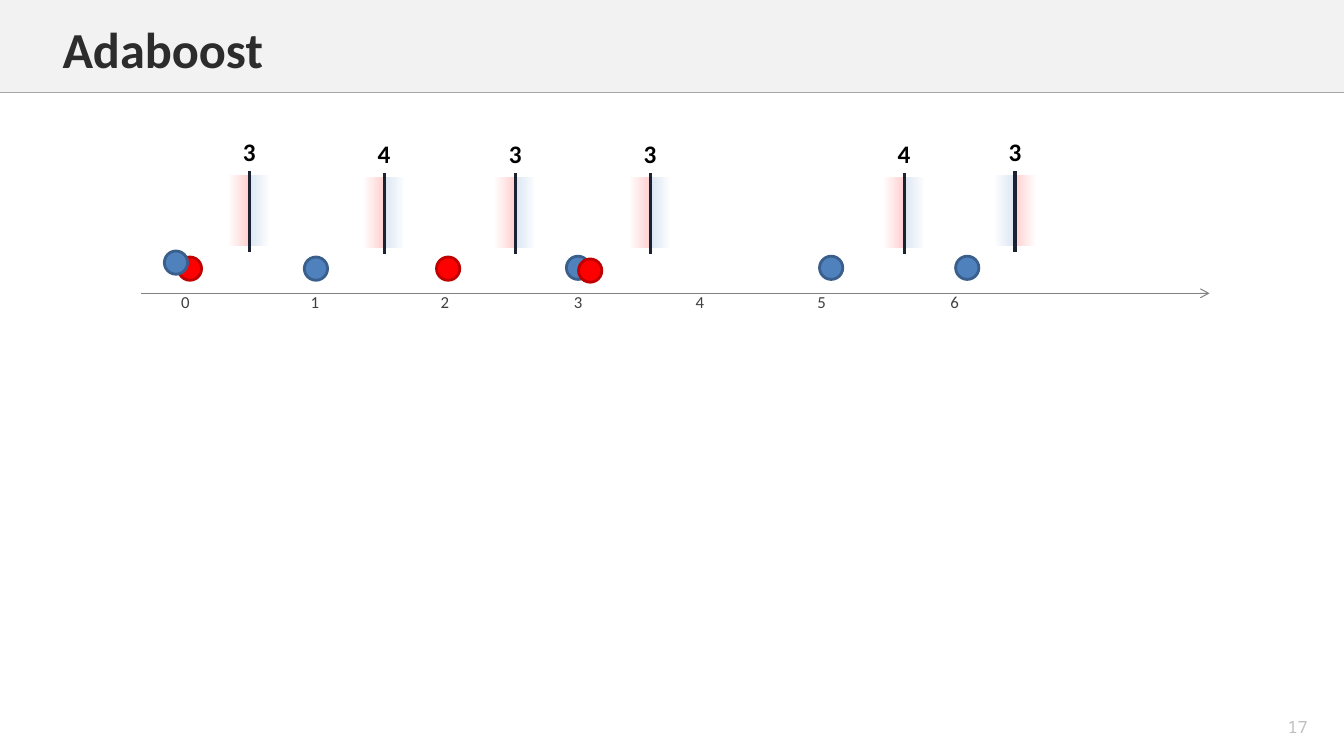
import pptx
import pptx.util
import pptx.dml.color
import pptx.enum.shapes
import pptx.enum.text
import pptx.oxml
import pptx.oxml.ns

Pt = pptx.util.Pt
SHAPES = pptx.enum.shapes.MSO_SHAPE
ALIGN = pptx.enum.text.PP_ALIGN
ANCHOR = pptx.enum.text.MSO_ANCHOR

TITLE = "Adaboost"
PAGE_NUMBER = "17"
TICKS = ["0", "1", "2", "3", "4", "5", "6"]
TICK_CENTRES = [132.6, 225, 318, 413, 500, 587, 682]

# left, top, class
POINTS = [
    (311.8, 183.6, "red"),
    (217.4, 183.6, "blue"),
    (404.6, 183, "blue"),
    (585.4, 183, "blue"),
    (682.6, 183, "blue"),
    (413.3, 185, "red"),
    (127.4, 183.6, "red"),
    (117.4, 179.3, "blue"),
]

# x, rise, label, tint on the left, tint on the right
STUMPS = [
    (274.4, 0, "4", "pink", "pale"),
    (368, 0, "3", "pink", "pale"),
    (464.4, 0, "3", "pink", "pale"),
    (645.8, 0, "4", "pink", "pale"),
    (725, 1.4, "3", "pale", "pink"),
    (178, 1.4, "3", "pink", "pale"),
]

COLOURS = {
    "white": "FFFFFF", "band": "F2F2F2", "rule": "A6A6A6", "number": "BFBFBF",
    "axis": "808080", "tick": "404040", "title": "2C2C2C", "black": "000000",
    "stump": "1C2232", "pink": "FFD1D1", "pale": "DCE6F2",
    "red": "FF0000", "red edge": "C00000",
    "blue": "4F81BD", "blue edge": "3A5F8C",
}
FORMATS = {
    "title": {"name": "Calibri", "size": Pt(36), "bold": True},
    "number": {"name": "Noto Sans Mono", "size": Pt(12)},
    "tick": {"name": "Calibri", "size": Pt(12)},
    "black": {"name": "Calibri", "size": Pt(18), "bold": True},
}

PAGE_WIDTH, PAGE_HEIGHT = 960, 540
BAND_HEIGHT = 66.2
AXIS_LEFT, AXIS_RIGHT, AXIS_Y = 100.8, 864, 209.5
POINT_SIZE = 16.6
STUMP_TOP, STUMP_HEIGHT = 123.8, 57.6
TINT_WIDTH, TINT_HEIGHT, TINT_DROP = 15.4, 50.6, 2.6
LABEL_WIDTH, LABEL_HEIGHT = 31, 26.6
TICK_BOX_LEFT, INSET = 122.4, 7.2


def colour(name):
    return pptx.dml.color.RGBColor.from_string(COLOURS[name])


def add_shape(page, kind, left, top, width, height):
    shape = page.shapes.add_shape(kind, Pt(left), Pt(top), Pt(width), Pt(height))
    shape.shadow.inherit = False
    shape.line.fill.background()
    return shape


def add_line(page, start, end, name, weight):
    line = page.shapes.add_connector(
        pptx.enum.shapes.MSO_CONNECTOR.STRAIGHT, *(Pt(value) for value in start + end))
    line.line.color.rgb = colour(name)
    line.line.width = Pt(weight)
    properties = line._element.spPr
    properties.append(properties.makeelement(pptx.oxml.ns.qn("a:effectLst")))
    return line


def add_text(page, text, left, top, width, height, style,
             align=ALIGN.LEFT, anchor=ANCHOR.MIDDLE, tabs=()):
    """Add a one-line box; tabs are centred stops measured from the text edge."""
    box = page.shapes.add_textbox(Pt(left), Pt(top), Pt(width), Pt(height))
    box.text_frame.word_wrap = True
    box.text_frame.vertical_anchor = anchor
    para = box.text_frame.paragraphs[0]
    para.alignment = align
    if tabs:
        properties = para._p.get_or_add_pPr()
        stops = properties.makeelement(pptx.oxml.ns.qn("a:tabLst"))
        properties.append(stops)
        for stop in tabs:
            stops.append(stops.makeelement(
                pptx.oxml.ns.qn("a:tab"), {"pos": str(int(Pt(stop))), "algn": "ctr"}))
    span = para.add_run()
    span.text = text
    for attribute, value in FORMATS[style].items():
        setattr(span.font, attribute, value)
    span.font.color.rgb = colour(style)


def add_header(page):
    band = add_shape(page, SHAPES.RECTANGLE, 0, 0, PAGE_WIDTH, BAND_HEIGHT)
    band.fill.solid()
    band.fill.fore_color.rgb = colour("band")
    add_line(page, (0, BAND_HEIGHT), (PAGE_WIDTH, BAND_HEIGHT), "rule", 1)
    add_text(page, TITLE, 37.6, 9.4, 856, 51, "title", anchor=ANCHOR.TOP)
    add_text(page, PAGE_NUMBER, 895.7, 508.3, 62.6, 22.3, "number", ALIGN.CENTER)


def add_axis(page):
    axis = add_line(page, (AXIS_LEFT, AXIS_Y), (AXIS_RIGHT, AXIS_Y), "axis", 0.75)
    outline = axis.line._get_or_add_ln()
    outline.append(outline.makeelement(pptx.oxml.ns.qn("a:tailEnd"), {"type": "arrow"}))
    stops = [centre - TICK_BOX_LEFT - INSET for centre in TICK_CENTRES[1:]]
    add_text(page, "\t".join(TICKS), TICK_BOX_LEFT, 202.3, 703.4, 26.6, "tick", tabs=stops)


def add_tint(page, left, top, name, angle):
    """Add a side of a stump that fades from its tint to white."""
    tint = add_shape(page, SHAPES.RECTANGLE, left, top, TINT_WIDTH, TINT_HEIGHT)
    tint.fill.gradient()
    tint.fill.gradient_angle = angle
    for stop, (position, shade) in zip(tint.fill.gradient_stops, ((0, "white"), (0.98, name))):
        stop.position = position
        stop.color.rgb = colour(shade)


def add_stump(page, x, rise, label, left_tint, right_tint):
    top = STUMP_TOP - rise
    add_tint(page, x, top + TINT_DROP, right_tint, 180)
    add_tint(page, x - TINT_WIDTH, top + TINT_DROP, left_tint, 0)
    add_line(page, (x, top), (x, top + STUMP_HEIGHT), "stump", 2.25)
    add_text(page, label, x - LABEL_WIDTH / 2, top - LABEL_HEIGHT - 0.6,
             LABEL_WIDTH, LABEL_HEIGHT, "black", ALIGN.CENTER)


def add_point(page, left, top, name):
    point = add_shape(page, SHAPES.FLOWCHART_CONNECTOR, left, top, POINT_SIZE, POINT_SIZE)
    point.fill.solid()
    point.fill.fore_color.rgb = colour(name)
    point.line.color.rgb = colour(name + " edge")
    point.line.width = Pt(2)


def main():
    deck = pptx.Presentation()
    deck.slide_width, deck.slide_height = Pt(PAGE_WIDTH), Pt(PAGE_HEIGHT)
    page = deck.slides.add_slide(deck.slide_layouts[6])
    add_header(page)
    add_axis(page)
    for stump in STUMPS:
        add_stump(page, *stump)
    for point in POINTS:
        add_point(page, *point)
    deck.save("out.pptx")


if __name__ == "__main__":
    main()
